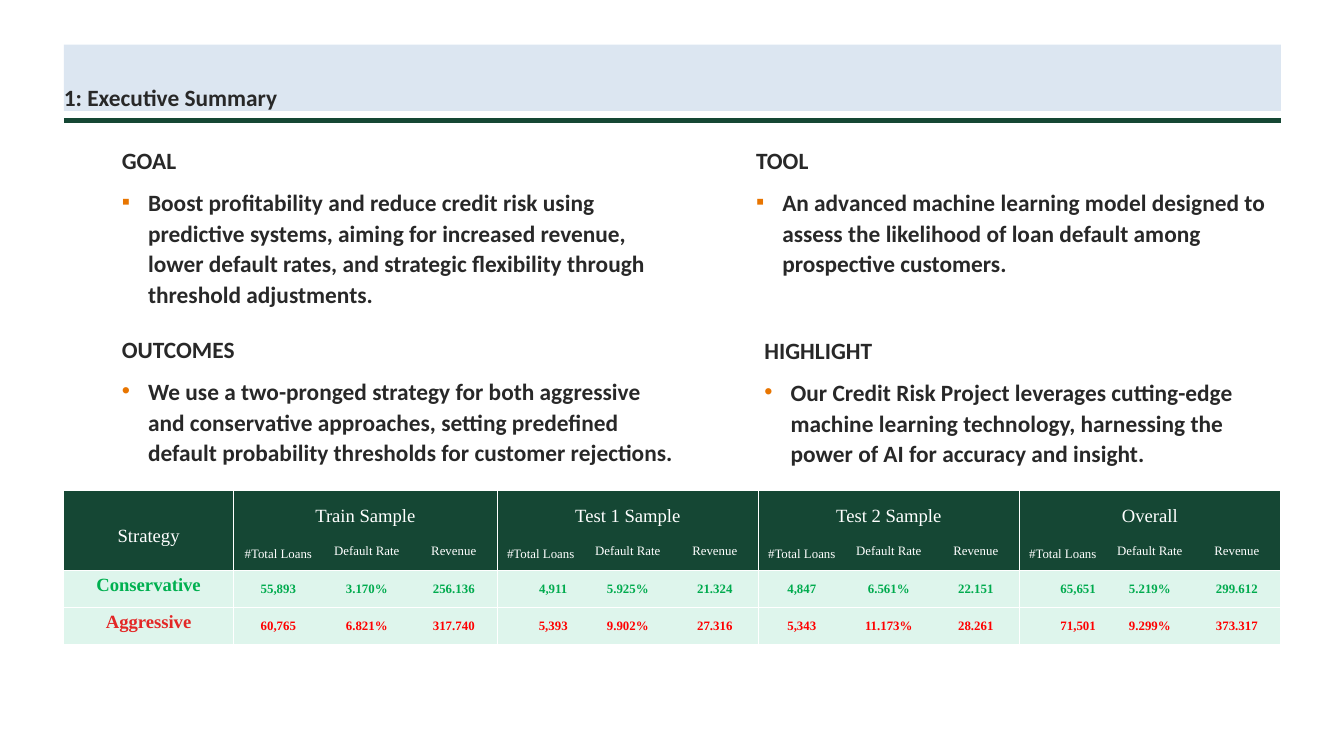
from lxml.etree import SubElement
from pptx import Presentation
from pptx.dml.color import RGBColor
from pptx.enum.shapes import MSO_CONNECTOR
from pptx.enum.text import MSO_ANCHOR, MSO_AUTO_SIZE, PP_ALIGN
from pptx.oxml.ns import qn
from pptx.util import Pt

GREEN, MINT, WHITE, INK = "154734", "DEF5EC", "FFFFFF", "282828"
LEFT, WIDTH = 54.7, 1043.2
NO_STYLE = "{2D5ABB26-0587-4C30-8999-92F81FD0307C}"
TOPICS = [
    (1, (97.2, 120.2, 490.3, 128.2), "GOAL", "▪",
     "Boost profitability and reduce credit risk using predictive systems, aiming for "
     "increased revenue, lower default rates, and strategic flexibility through "
     "threshold adjustments."),
    (2, (97.2, 282.2, 490.3, 124.6), "OUTCOMES", "•",
     "We use a two-pronged strategy for both aggressive and conservative approaches, "
     "setting predefined default probability thresholds for customer rejections."),
    (3, (640.8, 120.2, 457.2, 115.2), "TOOL", "▪",
     "An advanced machine learning model designed to assess the likelihood of loan "
     "default among prospective customers."),
    (4, (648, 283, 457.9, 126.7), "HIGHLIGHT", "•",
     "Our Credit Risk Project leverages cutting-edge machine learning technology, "
     "harnessing the power of AI for accuracy and insight."),
]
SAMPLES = ["Train Sample", "Test 1 Sample", "Test 2 Sample", "Overall"]
MEASURES = ["#Total Loans", "Default Rate", "Revenue"]
STRATEGIES = [
    ("Conservative", "00B050", "00AB4E",
     ["55,893", "3.170%", "256.136", "4,911", "5.925%", "21.324",
      "4,847", "6.561%", "22.151", "65,651", "5.219%", "299.612"]),
    ("Aggressive", "E32726", "FF0000",
     ["60,765", "6.821%", "317.740", "5,393", "9.902%", "27.316",
      "5,343", "11.173%", "28.261", "71,501", "9.299%", "373.317"]),
]
SHIFTED_COLUMNS = {4: 22, 10: 27}


def color(value):
    """Return the colour for a hex string."""
    return RGBColor.from_string(value)


def assign(target, values):
    """Set each named attribute of the target."""
    for name, value in values.items():
        setattr(target, name, value)


def place(box, frame):
    """Put a box at a left, top, width and height in points."""
    assign(box, dict(zip(("left", "top", "width", "height"), map(Pt, frame))))


def set_margins(target, margins):
    """Set left, top, right and bottom margins in points."""
    names = ("margin_left", "margin_top", "margin_right", "margin_bottom")
    assign(target, dict(zip(names, map(Pt, margins))))


def write(para, text, size, font, ink, bold=False, **layout):
    """Write one formatted run into a paragraph."""
    span = para.add_run()
    span.text = text
    assign(span.font, {"size": Pt(size), "name": font, "bold": bold})
    span.font.color.rgb = color(ink)
    assign(para, layout)


def set_bullet(para, mark):
    """Give a paragraph an orange bullet, or none."""
    properties = para._p.get_or_add_pPr()
    indent = 22.5 if mark else 0
    properties.set("marL", str(Pt(indent)))
    properties.set("indent", str(Pt(-indent)))
    if not mark:
        SubElement(properties, qn("a:buNone"))
        return
    tint = SubElement(properties, qn("a:buClr"))
    SubElement(tint, qn("a:srgbClr"), val="E87500")
    SubElement(properties, qn("a:buFont"), typeface="Arial")
    SubElement(properties, qn("a:buChar"), char=mark)


def fill_title(box):
    """Format the title band."""
    place(box, (LEFT, 38.2, WIDTH, 56.9))
    box.fill.solid()
    box.fill.fore_color.rgb = color("DCE6F1")
    frame = box.text_frame
    set_margins(frame, (0, 0, 0, 0))
    assign(frame, {"vertical_anchor": MSO_ANCHOR.BOTTOM, "word_wrap": True,
                   "auto_size": MSO_AUTO_SIZE.NONE})
    write(frame.paragraphs[0], "1: Executive Summary", 20, "Calibri", INK, True,
          alignment=PP_ALIGN.LEFT)


def fill_topic(box, frame_size, heading, mark, message):
    """Fill a body placeholder with a heading and its bullet."""
    place(box, frame_size)
    frame = box.text_frame
    set_margins(frame, (7.2, 3, 3, 3))
    assign(frame, {"vertical_anchor": MSO_ANCHOR.TOP, "word_wrap": True,
                   "auto_size": MSO_AUTO_SIZE.NONE})
    lines = [(frame.paragraphs[0], heading, None, 0),
             (frame.add_paragraph(), message, mark, 9.1)]
    for para, text, bullet, gap in lines:
        write(para, text, 20, "Calibri", INK, True, line_spacing=1.1,
              space_before=Pt(gap), alignment=PP_ALIGN.LEFT)
        set_bullet(para, bullet)


def add_rule(page):
    """Draw the green rule under the title."""
    rule = page.shapes.add_connector(
        MSO_CONNECTOR.STRAIGHT, Pt(LEFT), Pt(103), Pt(LEFT + WIDTH), Pt(103))
    rule.line.width = Pt(4.5)
    rule.line.color.rgb = color(GREEN)
    SubElement(rule._element.spPr, qn("a:effectLst"))


def set_borders(cell, row, column):
    """Draw white lines between sample groups and strategy rows."""
    properties = cell._tc.get_or_add_tcPr()
    sides = {"L": column % 3 == 1, "R": column % 3 == 0,
             "T": row >= 2, "B": row in (1, 2)}
    for side, shown in sides.items():
        line = SubElement(properties, qn(f"a:ln{side}"), w=str(Pt(1)))
        if shown:
            paint = SubElement(line, qn("a:solidFill"))
            SubElement(paint, qn("a:srgbClr"), val=WHITE)
        else:
            SubElement(line, qn("a:noFill"))


def fill_cell(cell, text, size, ink, bold=False, spacing=1.0,
              anchor=MSO_ANCHOR.MIDDLE, margins=(7.2, 3.6, 7.2, 3.6)):
    """Write a centred table cell."""
    set_margins(cell, margins)
    cell.vertical_anchor = anchor
    write(cell.text_frame.paragraphs[0], text, size, "Times New Roman", ink, bold,
          alignment=PP_ALIGN.CENTER, line_spacing=spacing)


def add_results(page):
    """Build the table of results by strategy and sample."""
    holder = page.shapes.add_table(4, 13, Pt(LEFT), Pt(421.2), Pt(WIDTH), Pt(127.4))
    table = holder.table
    table._tbl.tblPr.find(qn("a:tableStyleId")).text = NO_STYLE
    for column, width in zip(table.columns, [145.4, 77] + [74.6] * 11):
        column.width = Pt(width)
    for row, height in zip(table.rows, [32.4, 31.7, 31.7, 31.7]):
        row.height = Pt(height)
    for row in range(4):
        for column in range(13):
            cell = table.cell(row, column)
            set_borders(cell, row, column)
            cell.fill.solid()
            cell.fill.fore_color.rgb = color(GREEN if row < 2 else MINT)

    table.cell(0, 0).merge(table.cell(1, 0))
    fill_cell(table.cell(0, 0), "Strategy", 16, WHITE, spacing=1.5)
    for group, sample in enumerate(SAMPLES):
        first = 1 + 3 * group
        table.cell(0, first).merge(table.cell(0, first + 2))
        fill_cell(table.cell(0, first), sample, 16, WHITE, spacing=1.5)
        for offset, measure in enumerate(MEASURES):
            fill_cell(table.cell(1, first + offset), measure, 11, WHITE,
                      spacing=1.0 if offset else 1.5)
    for row, (name, name_ink, ink, values) in enumerate(STRATEGIES, 2):
        fill_cell(table.cell(row, 0), name, 16, name_ink, True, anchor=MSO_ANCHOR.TOP)
        for column, value in enumerate(values, 1):
            inset = SHIFTED_COLUMNS.get(column, 0.7)
            fill_cell(table.cell(row, column), value, 11, ink, True,
                      margins=(inset, 0.7, 0.7, 0))


def main():
    """Build and save the slide."""
    deck = Presentation()
    assign(deck, {"slide_width": Pt(1152), "slide_height": Pt(648)})
    page = deck.slides.add_slide(deck.slide_layouts.get_by_name("Comparison"))
    bodies = {box.placeholder_format.idx: box for box in page.placeholders}
    add_rule(page)
    fill_title(page.shapes.title)
    for index, *topic in TOPICS:
        fill_topic(bodies[index], *topic)
    add_results(page)
    deck.save("out.pptx")


if __name__ == "__main__":
    main()
